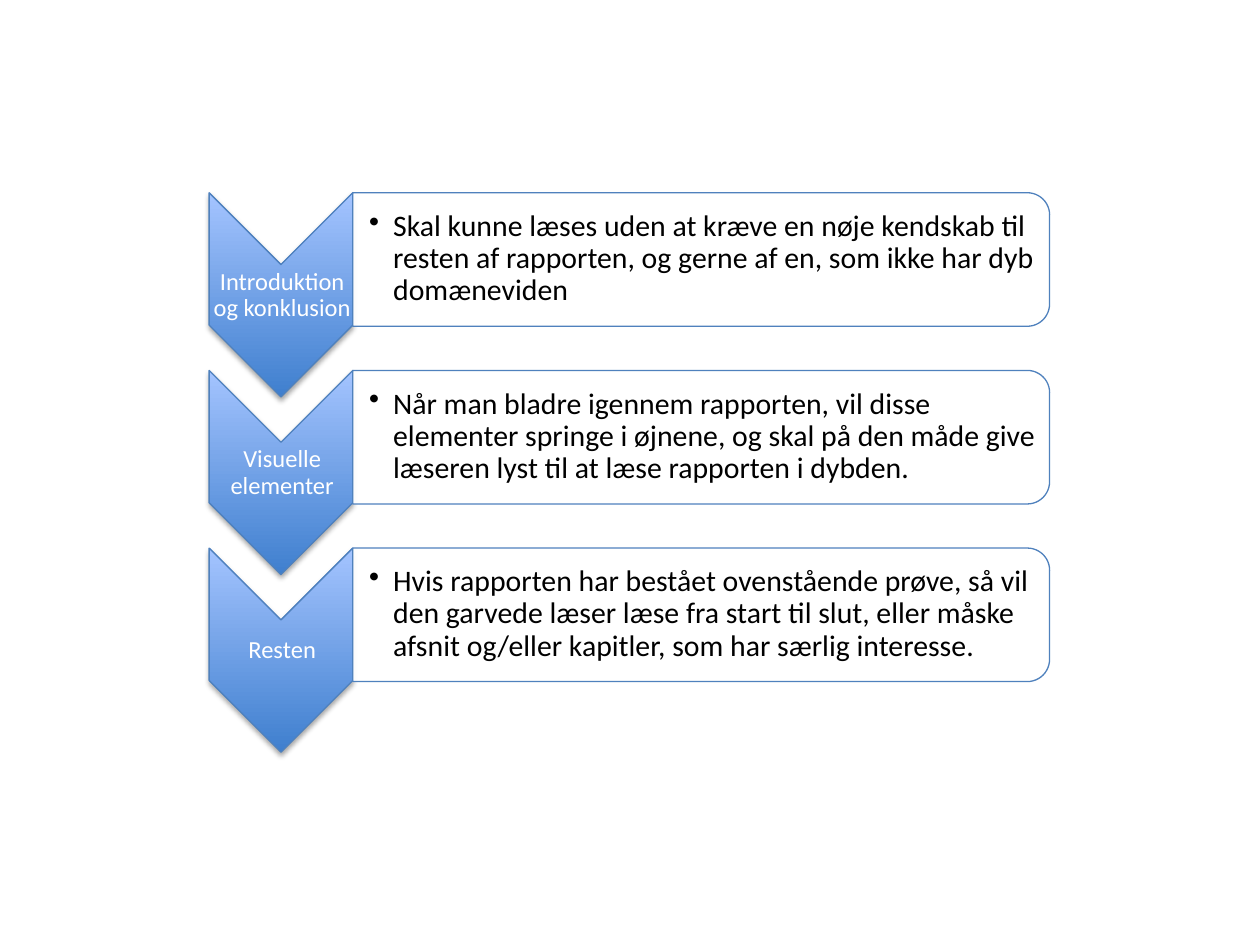
from lxml import etree
from pptx import Presentation
from pptx.dml.color import RGBColor
from pptx.enum.shapes import MSO_SHAPE
from pptx.enum.text import MSO_ANCHOR, PP_ALIGN
from pptx.oxml import parse_xml
from pptx.oxml.ns import nsdecls, qn
from pptx.util import Inches, Pt

CHEVRON, PANEL = MSO_SHAPE.CHEVRON, MSO_SHAPE.ROUND_2_SAME_RECTANGLE
MIDDLE = MSO_ANCHOR.MIDDLE
CENTER, LEFT = PP_ALIGN.CENTER, PP_ALIGN.LEFT

STEPS = [
    ("Introduktion og konklusion",
     "Skal kunne læses uden at kræve en nøje kendskab til resten af rapporten, "
     "og gerne af en, som ikke har dyb domæneviden"),
    ("Visuelle elementer",
     "Når man bladre igennem rapporten, vil disse elementer springe i øjnene, "
     "og skal på den måde give læseren lyst til at læse rapporten i dybden."),
    ("Resten",
     "Hvis rapporten har bestået ovenstående prøve, så vil den garvede læser "
     "læse fra start til slut, eller måske afsnit og/eller kapitler, som har "
     "særlig interesse."),
]
STEP_LEFT, STEP_TOP, STEP_PITCH = 1.66, 1.53, 1.41
CHEVRON_W, CHEVRON_H = 1.14, 1.62
PANEL_W, PANEL_H = 5.53, 1.06


def color(value):
    return RGBColor.from_string(value)


def add_turned_shape(slide, kind, left, top, width, height):
    """Add a shape turned 90 degrees that fills the given visible box."""
    shift = (width - height) / 2
    shape = slide.shapes.add_shape(
        kind, Inches(left + shift), Inches(top - shift),
        Inches(height), Inches(width))
    shape.rotation = 90
    shape.shadow.inherit = False
    shape.line.color.rgb = color("4F81BD")
    shape.line.width = Pt(0.75)
    return shape


def add_text(slide, text, left, top, width, height, size, ink, align, inset):
    box = slide.shapes.add_textbox(
        Inches(left), Inches(top), Inches(width), Inches(height))
    frame = box.text_frame
    frame.word_wrap = True
    frame.vertical_anchor = MIDDLE
    frame.margin_left = Inches(inset)
    frame.margin_top = frame.margin_right = frame.margin_bottom = Inches(0.01)
    paragraph = frame.paragraphs[0]
    paragraph.text = text
    paragraph.alignment = align
    paragraph.line_spacing = 0.9
    paragraph.font.name = "Calibri"
    paragraph.font.size = Pt(size)
    paragraph.font.color.rgb = color(ink)
    return paragraph


def add_chevron(slide, label, left, top):
    chevron = add_turned_shape(slide, CHEVRON, left, top, CHEVRON_W, CHEVRON_H)
    # Gradient that stays upright although the shape is turned
    chevron.fill.gradient()
    chevron.fill.gradient_angle = 90
    for stop, shade in zip(chevron.fill.gradient_stops, ("3F7FCE", "A4C4FF")):
        stop.color.rgb = color(shade)
    properties = chevron._element.spPr
    properties.find(qn("a:gradFill")).set("rotWithShape", "0")
    # Soft shadow below
    properties.find(qn("a:effectLst")).append(parse_xml(
        f'<a:outerShdw {nsdecls("a")} blurRad="{Pt(3.1)}" dist="{Pt(1.8)}" '
        'dir="5400000" rotWithShape="0"><a:srgbClr val="000000">'
        '<a:alpha val="35000"/></a:srgbClr></a:outerShdw>'))
    add_text(slide, label, left + 0.01, top + 0.57, CHEVRON_W, 0.49,
             14, "FFFFFF", CENTER, 0.01)


def add_panel(slide, description, left, top):
    panel = add_turned_shape(slide, PANEL, left, top, PANEL_W, PANEL_H)
    panel.fill.solid()
    panel.fill.fore_color.rgb = color("FFFFFF")
    fill_color = panel._element.spPr.find(qn("a:solidFill"))[0]
    etree.SubElement(fill_color, qn("a:alpha")).set("val", "90000")
    paragraph = add_text(slide, description, left, top + 0.05, 5.48, 0.95,
                         17, "000000", LEFT, 0.13)
    # Hanging bullet
    settings = paragraph._p.get_or_add_pPr()
    settings.set("marL", str(Inches(0.19)))
    settings.set("indent", str(Inches(-0.19)))
    bullet = parse_xml(f'<a:buChar {nsdecls("a")} char="•"/>')
    settings.find(qn("a:lnSpc")).addnext(bullet)


def add_step(slide, label, description, left, top):
    add_chevron(slide, label, left, top)
    add_panel(slide, description, left + CHEVRON_W, top)


presentation = Presentation()
presentation.slide_width, presentation.slide_height = Inches(10), Inches(7.5)
slide = presentation.slides.add_slide(presentation.slide_layouts[6])
for row, (label, description) in enumerate(STEPS):
    add_step(slide, label, description, STEP_LEFT, STEP_TOP + row * STEP_PITCH)
presentation.save("out.pptx")
